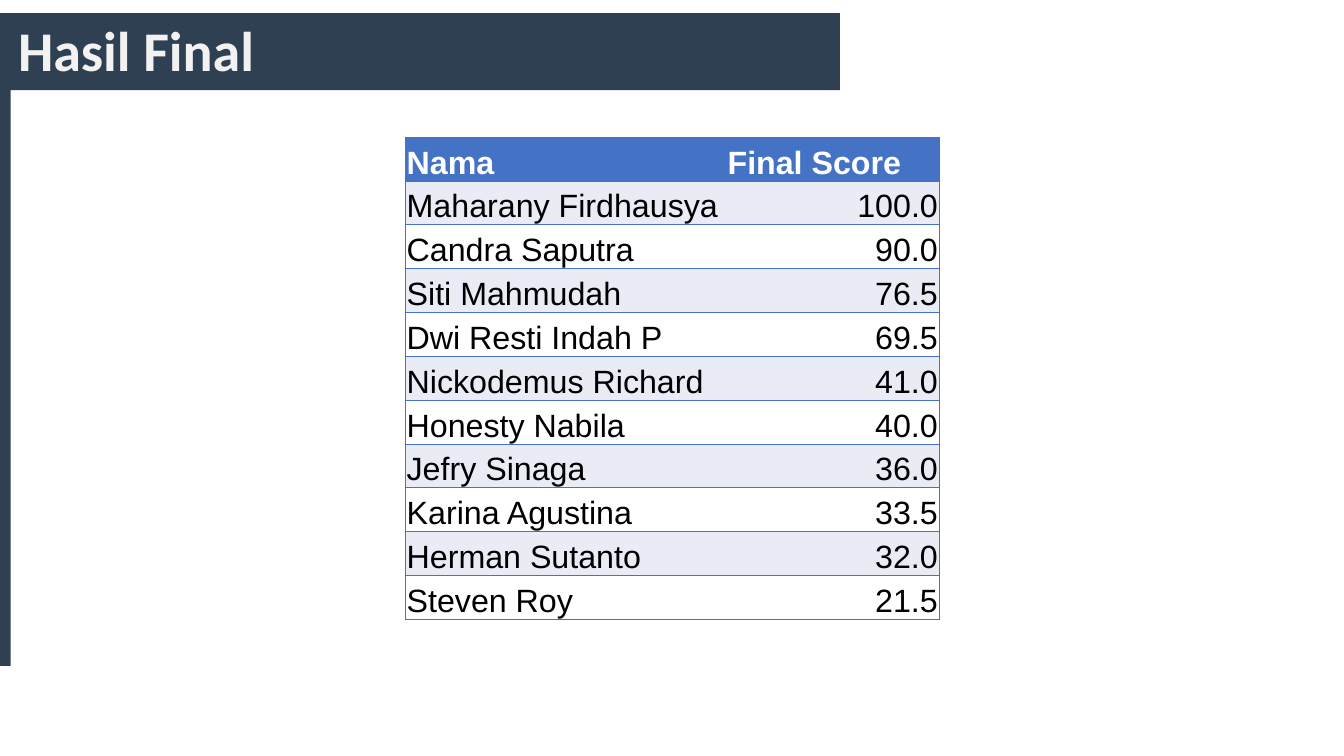
from lxml import etree
from pptx import Presentation, util as u
from pptx.dml.color import RGBColor
from pptx.enum import shapes, text
from pptx.oxml.ns import qn

TITLE = "Hasil Final"
HEADER = ("Nama", "Final Score")
SCORES = [
    ("Maharany Firdhausya", "100.0"),
    ("Candra Saputra", "90.0"),
    ("Siti Mahmudah", "76.5"),
    ("Dwi Resti Indah P", "69.5"),
    ("Nickodemus Richard", "41.0"),
    ("Honesty Nabila", "40.0"),
    ("Jefry Sinaga", "36.0"),
    ("Karina Agustina", "33.5"),
    ("Herman Sutanto", "32.0"),
    ("Steven Roy", "21.5"),
]
COLORS = {"navy": "2F4053", "title": "F2F2F2", "blue": "4472C4",
          "band": "E9EBF5", "white": "FFFFFF", "black": "000000"}
WIDTH, HEIGHT = 26.67, 15
BAND_TOP, BAND_HEIGHT = 0.26, 1.53
BARS = [(0, BAND_TOP, WIDTH * 0.625, BAND_HEIGHT),
        (0, BAND_TOP + BAND_HEIGHT, 0.21, 11.42)]
TITLE_AREA = (0.26, 0.3, 16.36, BAND_HEIGHT)
TABLE_LEFT, TABLE_TOP = 8.04, 2.72
COLUMNS = (6.37, 4.23)
ROW_HEIGHT = 0.87
CELL_FORMAT = {"vertical_anchor": text.MSO_ANCHOR.BOTTOM,
               "margin_left": u.Inches(0.03), "margin_right": u.Inches(0.03),
               "margin_top": u.Inches(0.03), "margin_bottom": 0}
TITLE_FORMAT = {"word_wrap": True, "vertical_anchor": text.MSO_ANCHOR.MIDDLE}


def rgb(name):
    return RGBColor.from_string(COLORS[name])


def inches(values):
    return [u.Inches(value) for value in values]


def apply(target, values):
    for name, value in values.items():
        setattr(target, name, value)


def write(para, words, color, **values):
    span = para.add_run()
    span.text = words
    apply(span.font, values)
    span.font.color.rgb = rgb(color)


def add_borders(cell, sides):
    properties = cell._tc.get_or_add_tcPr()
    for side in "LRTB":
        line = etree.SubElement(properties, qn(f"a:ln{side}"), w=str(u.Pt(1)))
        if side in sides:
            fill = etree.SubElement(line, qn("a:solidFill"))
            etree.SubElement(fill, qn("a:srgbClr"), val=COLORS["blue"])
        else:
            etree.SubElement(line, qn("a:noFill"))


def add_bars(page):
    for area in BARS:
        bar = page.shapes.add_shape(shapes.MSO_SHAPE.RECTANGLE, *inches(area))
        bar.shadow.inherit = False
        bar.fill.solid()
        bar.fill.fore_color.rgb = rgb("navy")
        bar.line.fill.background()


def add_title(page):
    box = page.shapes.add_textbox(*inches(TITLE_AREA))
    apply(box.text_frame, TITLE_FORMAT)
    para = box.text_frame.paragraphs[0]
    para.line_spacing = 0.9
    write(para, TITLE, "title", name="Calibri", size=u.Pt(80), bold=True)


def add_scores(page):
    rows = [HEADER, *SCORES]
    area = (TABLE_LEFT, TABLE_TOP, sum(COLUMNS), ROW_HEIGHT * len(rows))
    table = page.shapes.add_table(len(rows), len(COLUMNS), *inches(area)).table
    for column, width in zip(table.columns, COLUMNS):
        column.width = u.Inches(width)
    for r, row in enumerate(rows):
        table.rows[r].height = u.Inches(ROW_HEIGHT)
        heading = r == 0
        fill = "blue" if heading else ("white", "band")[r % 2]
        for c, words in enumerate(row):
            cell = table.cell(r, c)
            apply(cell, CELL_FORMAT)
            add_borders(cell, ("LTB", "RTB")[c])
            cell.fill.solid()
            cell.fill.fore_color.rgb = rgb(fill)
            para = cell.text_frame.paragraphs[0]
            if c and not heading:
                para.alignment = text.PP_ALIGN.RIGHT
            write(para, words, "white" if heading else "black",
                  name="Arial", size=u.Pt(46), bold=heading)


def main():
    deck = Presentation()
    deck.slide_width, deck.slide_height = inches((WIDTH, HEIGHT))
    page = deck.slides.add_slide(deck.slide_layouts[6])
    add_bars(page)
    add_title(page)
    add_scores(page)
    deck.save("out.pptx")


if __name__ == "__main__":
    main()
